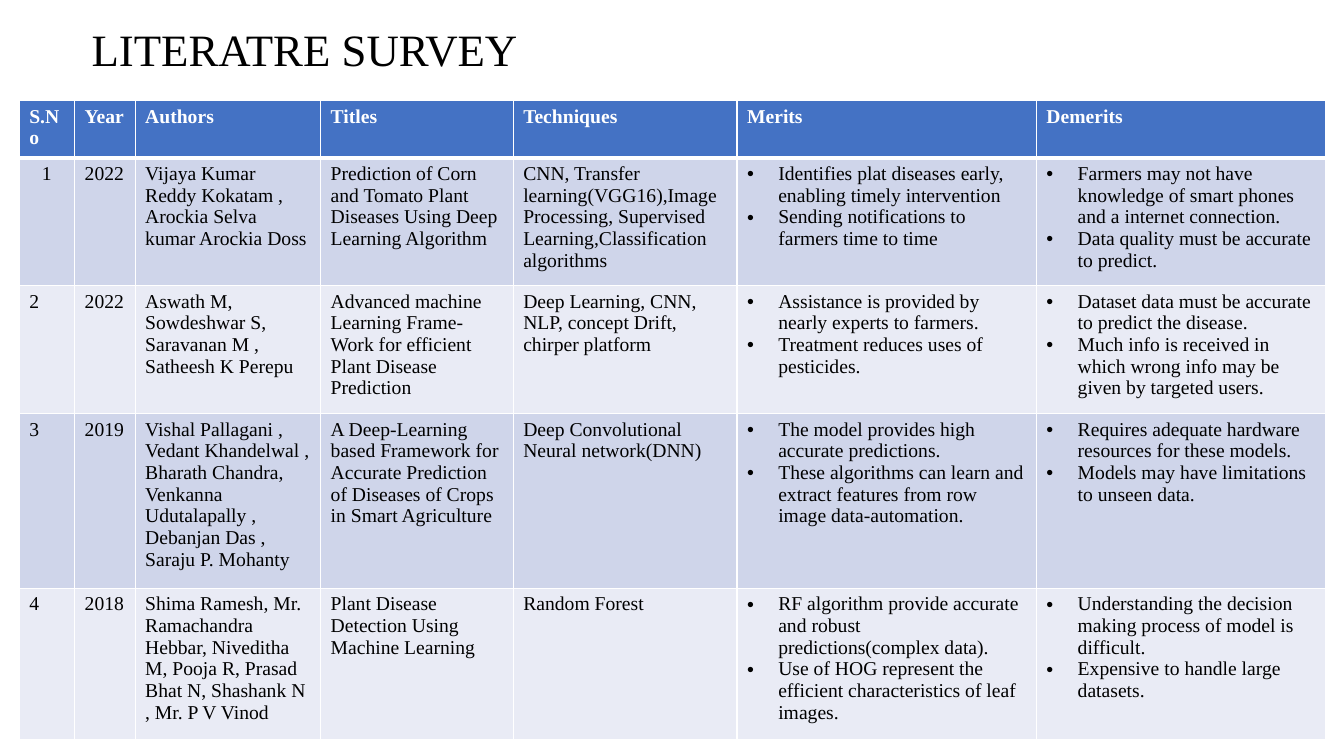
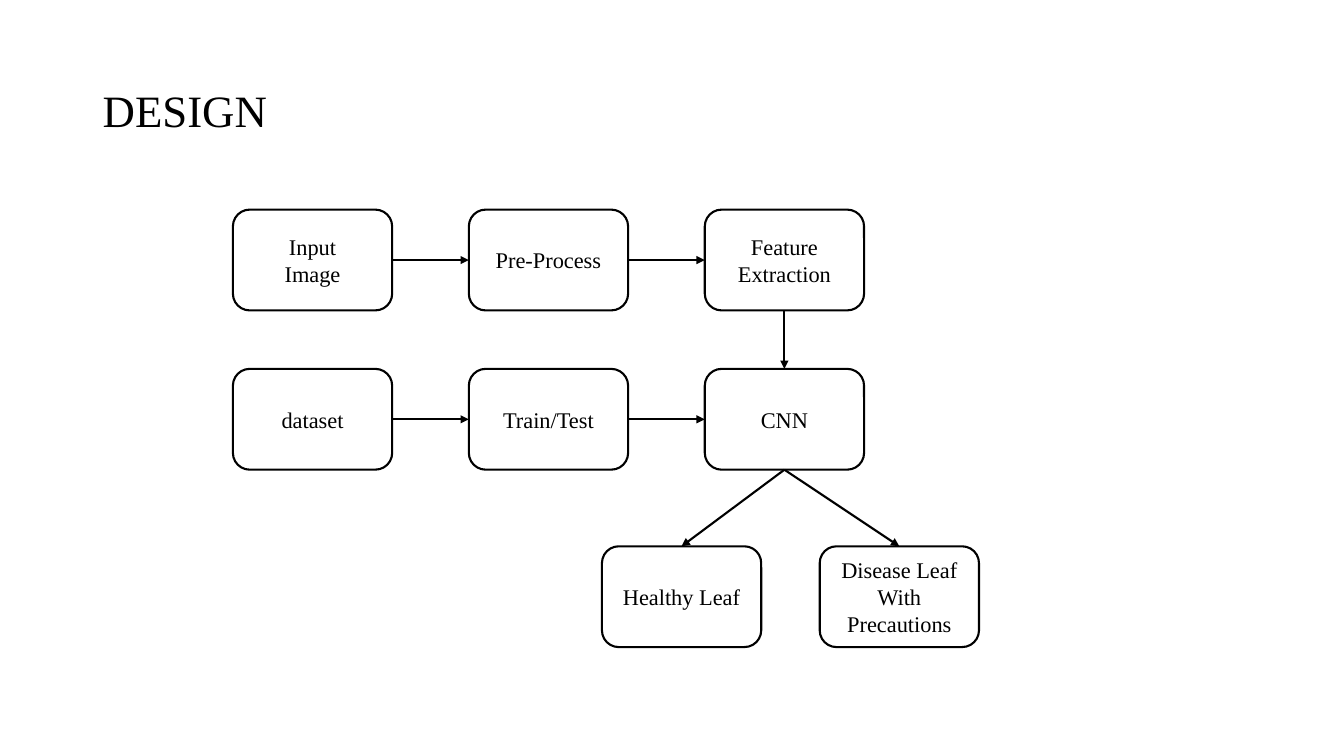
"""Build a literature survey table and a plant disease detection flow chart."""
from dataclasses import dataclass

from pptx import Presentation
from pptx.dml.color import RGBColor
from pptx.enum.shapes import MSO_CONNECTOR, MSO_SHAPE
from pptx.enum.text import MSO_ANCHOR, PP_ALIGN
from pptx.oxml.ns import qn
from pptx.util import Inches, Pt
from lxml.etree import SubElement as add_element

BLACK = RGBColor(0x00, 0x00, 0x00)
WHITE = RGBColor(0xFF, 0xFF, 0xFF)
HEADER_BLUE = RGBColor(0x44, 0x72, 0xC4)
BAND_DARK = RGBColor(0xCF, 0xD5, 0xEA)
BAND_LIGHT = RGBColor(0xE9, 0xEB, 0xF5)
FONT = "Times New Roman"
TITLE_SIZE, TABLE_SIZE, NODE_SIZE = 32, 14, 16
TITLE_WIDTH = 11.5

TABLE_LEFT, TABLE_TOP = 0.19, 1.0
COLUMN_WIDTHS = (0.55, 0.6, 1.84, 1.91, 2.22, 2.97, 2.87)
ROW_HEIGHTS = (0.53, 1.17, 1.24, 1.6, 1.38)
BULLET_INDENT = 0.31
HEADINGS = ("S.No", "Year", "Authors", "Titles", "Techniques", "Merits", "Demerits")

NODE_WIDTH, NODE_HEIGHT = 1.58, 1.0
GRID_LEFT, GRID_TOP, GRID_STEP_X, GRID_STEP_Y = 2.31, 2.08, 2.34, 1.58
RESULT_LEFT, RESULT_TOP, RESULT_STEP = 5.97, 5.42, 2.16
TOP, LEFT, BOTTOM, RIGHT = range(4)


@dataclass(frozen=True)
class Paper:
    year: str
    authors: str
    title: str
    techniques: str
    merits: tuple
    demerits: tuple


@dataclass(frozen=True)
class Node:
    lines: tuple
    left: float
    top: float


@dataclass(frozen=True)
class Arrow:
    start: str
    start_side: int
    end: str
    end_side: int


PAPERS = (
    Paper(
        "2022",
        "Vijaya Kumar Reddy Kokatam , Arockia Selva kumar Arockia Doss",
        "Prediction of Corn and Tomato Plant Diseases Using Deep Learning Algorithm",
        "CNN, Transfer learning(VGG16),Image Processing, Supervised "
        "Learning,Classification algorithms",
        ("Identifies plat diseases early, enabling timely intervention",
         "Sending notifications to farmers time to time"),
        ("Farmers may not have knowledge of smart phones and a internet connection.",
         "Data quality must be accurate to predict."),
    ),
    Paper(
        "2022",
        "Aswath M, Sowdeshwar S, Saravanan M , Satheesh K Perepu",
        "Advanced machine Learning Frame-Work for efficient Plant Disease Prediction",
        "Deep Learning, CNN, NLP, concept Drift, chirper platform",
        ("Assistance is provided by nearly experts to farmers.",
         "Treatment reduces uses of pesticides."),
        ("Dataset data must be accurate to predict the disease.",
         "Much info is received in which wrong info may be given by targeted users."),
    ),
    Paper(
        "2019",
        "Vishal Pallagani , Vedant Khandelwal , Bharath Chandra, Venkanna "
        "Udutalapally , Debanjan Das , Saraju P. Mohanty",
        "A Deep-Learning based Framework for Accurate Prediction of Diseases of "
        "Crops in Smart Agriculture",
        "Deep Convolutional Neural network(DNN)",
        ("The model provides high accurate predictions.",
         "These algorithms can learn and extract features from row image data-automation."),
        ("Requires adequate hardware resources for these models.",
         "Models may have limitations to unseen data."),
    ),
    Paper(
        "2018",
        "Shima Ramesh, Mr. Ramachandra Hebbar, Niveditha M, Pooja R, Prasad Bhat N, "
        "Shashank N , Mr. P V Vinod",
        "Plant Disease Detection Using Machine Learning",
        "Random Forest",
        ("RF algorithm provide accurate and robust predictions(complex data).",
         "Use of HOG represent the efficient characteristics of leaf images."),
        ("Understanding the decision making process of model is difficult.",
         "Expensive to handle large datasets."),
    ),
)


def grid_node(lines: tuple, column: int, row: int) -> Node:
    return Node(lines, GRID_LEFT + column * GRID_STEP_X, GRID_TOP + row * GRID_STEP_Y)


NODES = {
    "input": grid_node(("Input", "Image"), 0, 0),
    "process": grid_node(("Pre-Process",), 1, 0),
    "feature": grid_node(("Feature", "Extraction"), 2, 0),
    "dataset": grid_node(("dataset",), 0, 1),
    "train": grid_node(("Train/Test",), 1, 1),
    "cnn": grid_node(("CNN",), 2, 1),
    "healthy": Node(("Healthy Leaf",), RESULT_LEFT, RESULT_TOP),
    "disease": Node(("Disease Leaf With Precautions",), RESULT_LEFT + RESULT_STEP, RESULT_TOP),
}
ARROWS = (
    Arrow("input", RIGHT, "process", LEFT),
    Arrow("process", RIGHT, "feature", LEFT),
    Arrow("feature", BOTTOM, "cnn", TOP),
    Arrow("dataset", RIGHT, "train", LEFT),
    Arrow("train", RIGHT, "cnn", LEFT),
    Arrow("cnn", BOTTOM, "healthy", TOP),
    Arrow("cnn", BOTTOM, "disease", TOP),
)


def write_lines(frame, lines: tuple, size: int, color: RGBColor = BLACK,
                bold: bool = False, align: PP_ALIGN = PP_ALIGN.LEFT) -> None:
    for index, line in enumerate(lines):
        para = frame.add_paragraph() if index else frame.paragraphs[0]
        para.alignment = align
        span = para.add_run()
        span.text = line
        span.font.name = FONT
        span.font.size = Pt(size)
        span.font.bold = bold
        span.font.color.rgb = color


def add_title(page, text: str, left: float, top: float, height: float) -> None:
    box = page.shapes.add_textbox(
        Inches(left), Inches(top), Inches(TITLE_WIDTH), Inches(height))
    frame = box.text_frame
    frame.word_wrap = True
    frame.vertical_anchor = MSO_ANCHOR.MIDDLE
    write_lines(frame, (text,), TITLE_SIZE)
    frame.paragraphs[0].line_spacing = 0.9


def add_bullets(frame) -> None:
    for para in frame.paragraphs:
        props = para._p.get_or_add_pPr()
        props.set("marL", str(Inches(BULLET_INDENT)))
        props.set("indent", str(-Inches(BULLET_INDENT)))
        add_element(props, qn("a:buFont"), typeface="Arial")
        add_element(props, qn("a:buChar"), char="•")


def style_cell(cell, fill: RGBColor, top: float, bottom: float) -> None:
    props = cell._tc.get_or_add_tcPr()
    for tag, width in (("lnL", 1), ("lnR", 1), ("lnT", top), ("lnB", bottom)):
        line = add_element(props, qn(f"a:{tag}"), w=str(Pt(width)))
        paint = add_element(line, qn("a:solidFill"))
        add_element(paint, qn("a:srgbClr"), val=str(WHITE))
    cell.fill.solid()
    cell.fill.fore_color.rgb = fill


def add_survey_table(page) -> None:
    table = page.shapes.add_table(
        len(ROW_HEIGHTS), len(COLUMN_WIDTHS), Inches(TABLE_LEFT), Inches(TABLE_TOP),
        Inches(sum(COLUMN_WIDTHS)), Inches(sum(ROW_HEIGHTS))).table
    for column, width in zip(table.columns, COLUMN_WIDTHS):
        column.width = Inches(width)
    for row, height in zip(table.rows, ROW_HEIGHTS):
        row.height = Inches(height)

    for cell, heading in zip(table.rows[0].cells, HEADINGS):
        style_cell(cell, HEADER_BLUE, 1, 3)
        write_lines(cell.text_frame, (heading,), TABLE_SIZE, WHITE, True)

    for number, paper in enumerate(PAPERS, 1):
        fill = BAND_DARK if number % 2 else BAND_LIGHT
        contents = ((str(number),), (paper.year,), (paper.authors,), (paper.title,),
                    (paper.techniques,), paper.merits, paper.demerits)
        for cell, lines in zip(table.rows[number].cells, contents):
            style_cell(cell, fill, 3 if number == 1 else 1, 1)
            write_lines(cell.text_frame, lines, TABLE_SIZE)
            if len(lines) > 1:
                add_bullets(cell.text_frame)
    table.cell(1, 0).text_frame.paragraphs[0].alignment = PP_ALIGN.CENTER


def add_node(page, node: Node):
    box = page.shapes.add_shape(
        MSO_SHAPE.ROUNDED_RECTANGLE, Inches(node.left), Inches(node.top),
        Inches(NODE_WIDTH), Inches(NODE_HEIGHT))
    box.shadow.inherit = False
    box.fill.solid()
    box.fill.fore_color.rgb = WHITE
    box.line.color.rgb = BLACK
    box.line.width = Pt(1.5)
    box.text_frame.word_wrap = True
    box.text_frame.vertical_anchor = MSO_ANCHOR.MIDDLE
    write_lines(box.text_frame, node.lines, NODE_SIZE, align=PP_ALIGN.CENTER)
    return box


def add_arrow(page, boxes: dict, arrow: Arrow) -> None:
    link = page.shapes.add_connector(MSO_CONNECTOR.STRAIGHT, 0, 0, 0, 0)
    link.begin_connect(boxes[arrow.start], arrow.start_side)
    link.end_connect(boxes[arrow.end], arrow.end_side)
    link.line.color.rgb = BLACK
    link.line.width = Pt(1.5)
    add_element(link.line._get_or_add_ln(), qn("a:tailEnd"), type="triangle")
    add_element(link._element.spPr, qn("a:effectLst"))


def main() -> None:
    deck = Presentation()
    deck.slide_width, deck.slide_height = Inches(13.33), Inches(7.5)
    blank = deck.slide_layouts[6]

    survey = deck.slides.add_slide(blank)
    add_title(survey, "LITERATRE SURVEY", 0.81, 0.12, 0.79)
    add_survey_table(survey)

    design = deck.slides.add_slide(blank)
    add_title(design, "DESIGN", 0.92, 0.4, 1.45)
    boxes = {name: add_node(design, node) for name, node in NODES.items()}
    for arrow in ARROWS:
        add_arrow(design, boxes, arrow)

    deck.save("out.pptx")


if __name__ == "__main__":
    main()
